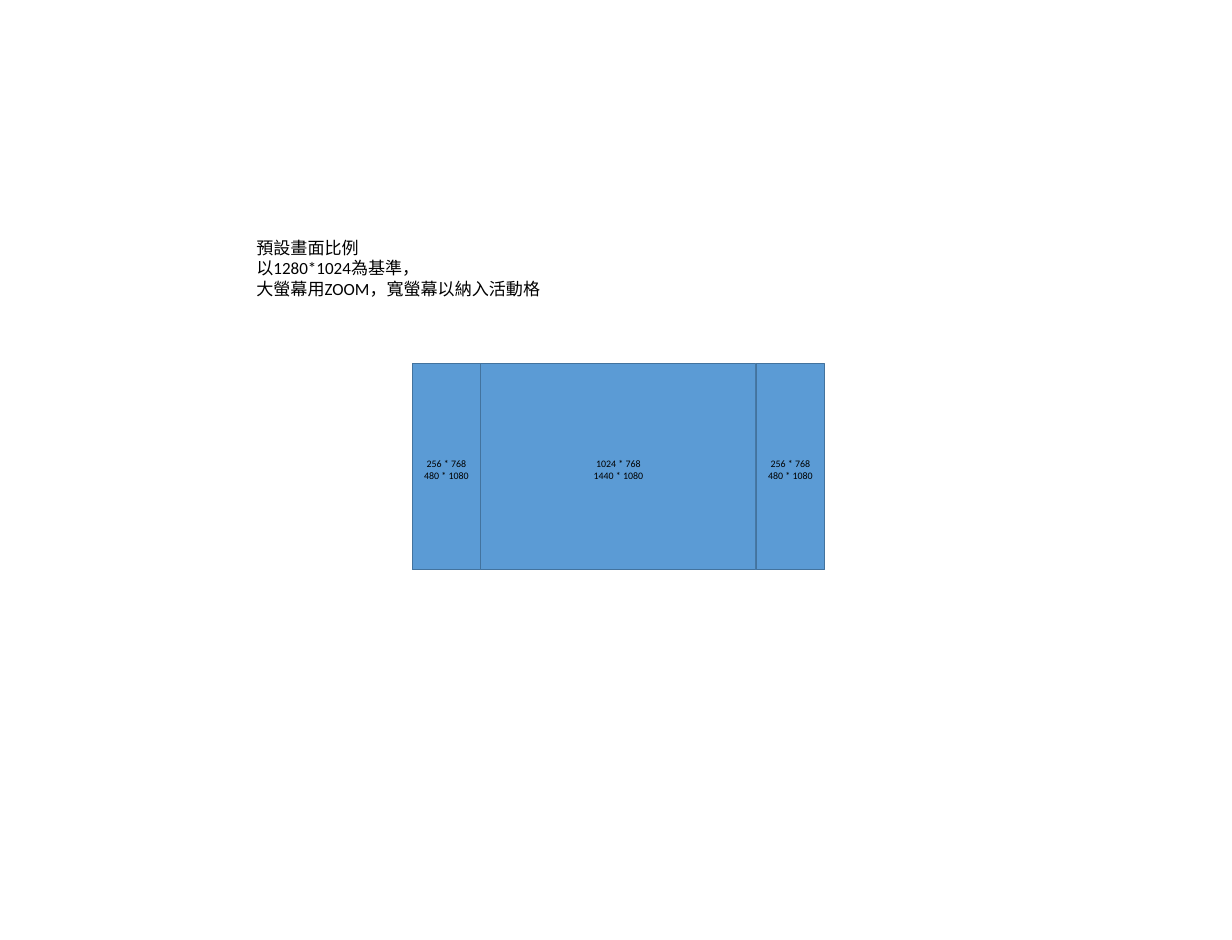
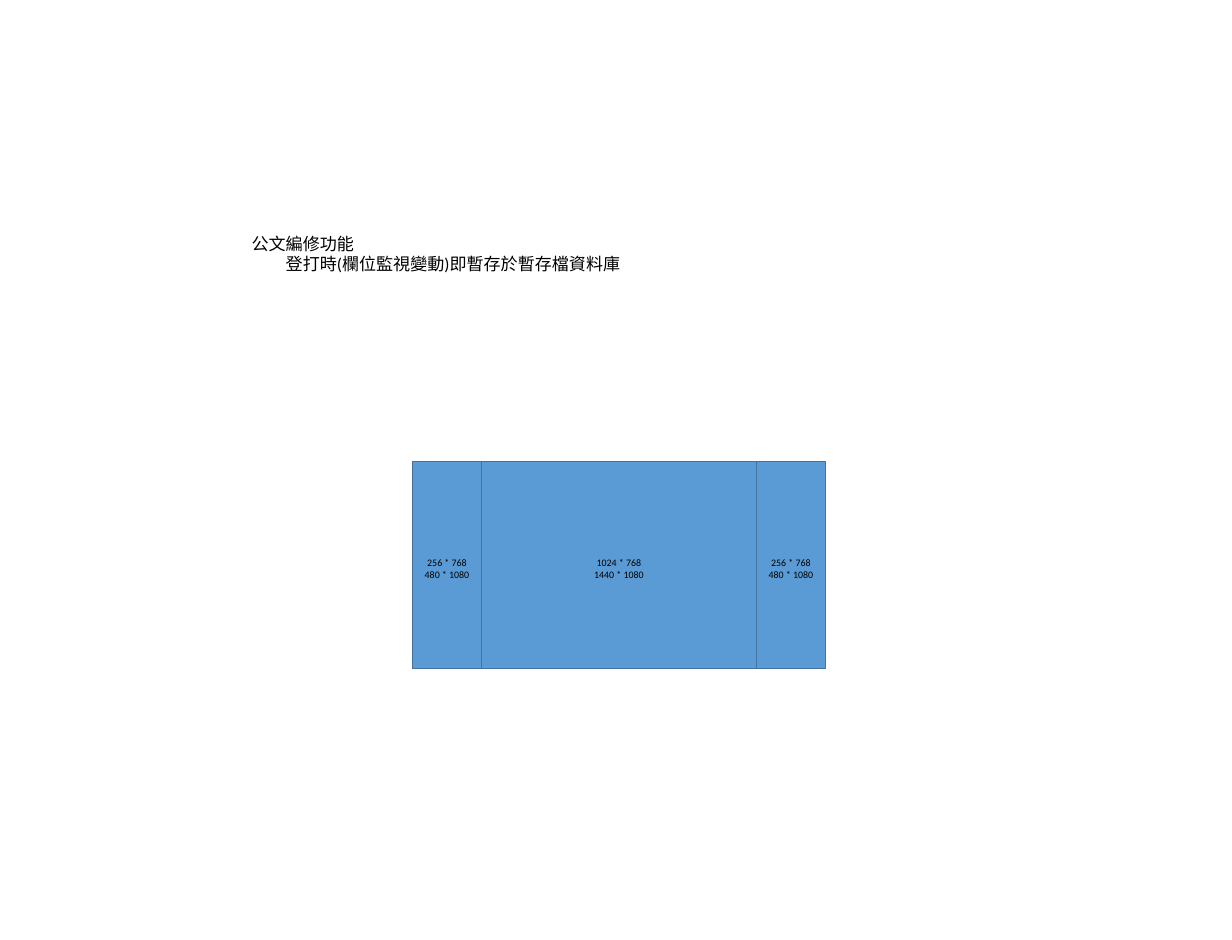
from dataclasses import dataclass

from pptx import Presentation
from pptx.dml.color import RGBColor
from pptx.enum import shapes, text
from pptx.util import Pt


@dataclass(frozen=True)
class Theme:
    font: str = "Calibri"
    ink: RGBColor = RGBColor(0x00, 0x00, 0x00)
    panel_fill: RGBColor = RGBColor(0x5B, 0x9B, 0xD5)
    panel_line: RGBColor = RGBColor(0x43, 0x73, 0x9E)
    line_width: float = 1
    note_size: float = 18
    label_size: float = 10.5


THEME = Theme()
SLIDE_SIZE = (1300.32, 992.16)
STRIP_WIDTH = 435.6
INDENT = 36

# Panels of the screen: start and span in sixths of the strip, label lines
SIDE_LABEL = ["256 * 768", "480 * 1080"]
PANELS = [
    (1, 4, ["1024 * 768", "1440 * 1080"]),
    (5, 1, SIDE_LABEL),
    (0, 1, SIDE_LABEL),
]
LABEL_WIDTH, LABEL_HEIGHT, LABEL_DROP = 89.3, 33.8, 4

# Each slide: note box, note lines with their level, left and top of the screen
SLIDES = [
    ((263.5, 247, 316.8, 72.7),
     [("預設畫面比例", 0), ("以1280*1024為基準，", 0),
      ("大螢幕用ZOOM，寬螢幕以納入活動格", 0)],
     (434.9, 383.8)),
    ((258.5, 242.6, 407.5, 116.6),
     [("公文編修功能", 0), ("登打時(欄位監視變動)即暫存於暫存檔資料庫", 1)],
     (435.5, 487.6)),
]


def add_text(slide, box, lines, size, align):
    """Text box holding (line, level) pairs, one paragraph each."""
    frame = slide.shapes.add_textbox(*map(Pt, box)).text_frame
    frame.word_wrap = True
    frame.auto_size = text.MSO_AUTO_SIZE.SHAPE_TO_FIT_TEXT
    font_format = {"name": THEME.font, "size": Pt(size)}
    for index, (line, level) in enumerate(lines):
        paragraph = frame.add_paragraph() if index else frame.paragraphs[0]
        paragraph.alignment = align
        if level:
            paragraph.level = level
            properties = paragraph._p.get_or_add_pPr()
            properties.set("marL", str(Pt(INDENT * level)))
            properties.set("indent", "0")
        run = paragraph.add_run()
        run.text = line
        for name, value in font_format.items():
            setattr(run.font, name, value)
        run.font.color.rgb = THEME.ink


def add_panel(slide, box):
    shape = slide.shapes.add_shape(shapes.MSO_SHAPE.RECTANGLE, *map(Pt, box))
    shape.shadow.inherit = False
    shape.fill.solid()
    shape.fill.fore_color.rgb = THEME.panel_fill
    shape.line.color.rgb = THEME.panel_line
    shape.line.width = Pt(THEME.line_width)


def add_screen(slide, left, top, width):
    """A 4:3 screen between two side panels, each a quarter as wide."""
    unit = width / 6
    height = unit * 3
    boxes = [(left + start * unit, top, span * unit, height)
             for start, span, _ in PANELS]
    for box in boxes:
        add_panel(slide, box)
    # Labels, centred over their panels
    label_top = top + (height - LABEL_HEIGHT) / 2 + LABEL_DROP
    for (x, _, panel_width, _), (_, _, lines) in zip(boxes, PANELS):
        label_left = x + (panel_width - LABEL_WIDTH) / 2
        add_text(slide, (label_left, label_top, LABEL_WIDTH, LABEL_HEIGHT),
                 [(line, 0) for line in lines],
                 THEME.label_size, text.PP_ALIGN.CENTER)


def main():
    presentation = Presentation()
    presentation.slide_width, presentation.slide_height = map(Pt, SLIDE_SIZE)
    for note_box, note_lines, (left, top) in SLIDES:
        slide = presentation.slides.add_slide(presentation.slide_layouts[6])
        add_screen(slide, left, top, STRIP_WIDTH)
        add_text(slide, note_box, note_lines,
                 THEME.note_size, text.PP_ALIGN.LEFT)
    presentation.save("out.pptx")


if __name__ == "__main__":
    main()
